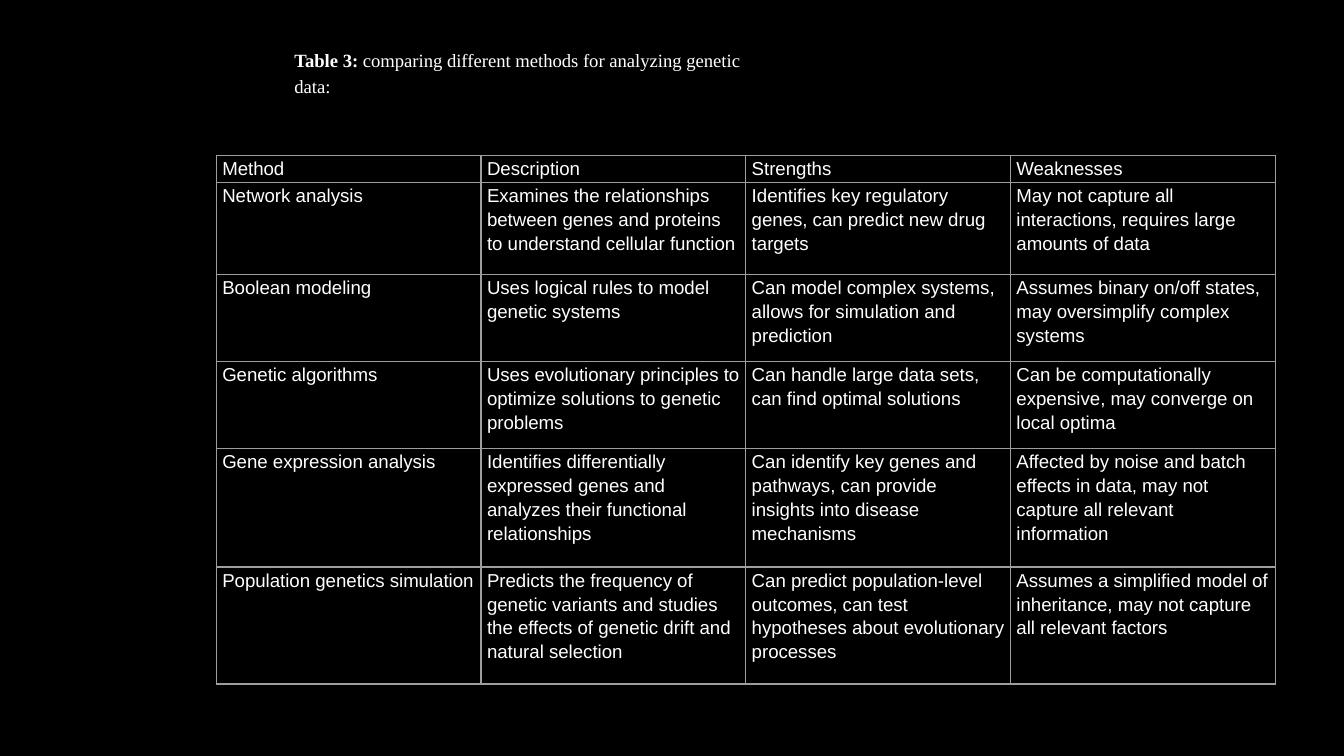
from dataclasses import dataclass

from lxml.etree import SubElement
from pptx import Presentation
from pptx.dml.color import RGBColor as RGB
from pptx.enum.text import MSO_ANCHOR as Anchor, MSO_AUTO_SIZE as Fit, PP_ALIGN as Align
from pptx.oxml.ns import qn
from pptx.util import Inches, Pt

CAPTION = [("Table 3:", True),
           (" comparing different methods for analyzing genetic data:", False)]
ROWS = [
    ("Method", "Description", "Strengths", "Weaknesses"),
    ("Network analysis",
     "Examines the relationships between genes and proteins to understand cellular function",
     "Identifies key regulatory genes, can predict new drug targets",
     "May not capture all interactions, requires large amounts of data"),
    ("Boolean modeling",
     "Uses logical rules to model genetic systems",
     "Can model complex systems, allows for simulation and prediction",
     "Assumes binary on/off states, may oversimplify complex systems"),
    ("Genetic algorithms",
     "Uses evolutionary principles to optimize solutions to genetic problems",
     "Can handle large data sets, can find optimal solutions",
     "Can be computationally expensive, may converge on local optima"),
    ("Gene expression analysis",
     "Identifies differentially expressed genes and analyzes their functional relationships",
     "Can identify key genes and pathways, can provide insights into disease mechanisms",
     "Affected by noise and batch effects in data, may not capture all relevant information"),
    ("Population genetics simulation",
     "Predicts the frequency of genetic variants and studies the effects of genetic drift "
     "and natural selection",
     "Can predict population-level outcomes, can test hypotheses about evolutionary processes",
     "Assumes a simplified model of inheritance, may not capture all relevant factors"),
]
HEIGHTS = [0.2, 0.68, 0.65, 0.65, 0.88, 0.87]


@dataclass(frozen=True)
class Theme:
    back: str = "000000"
    ink: str = "FFFFFF"
    rule: str = "9E9E9E"
    rule_width: float = 0.75
    size: int = 10
    head: str = "Times New Roman"
    body: str = "Arial"


THEME = Theme()
WIDE = 10
HIGH = WIDE * 9 / 16
BOX = dict(left=2.09, top=0.29, width=3.78, height=0.48)
GRID = dict(left=1.61, top=1.16, width=7.88, height=sum(HEIGHTS))
INSET = dict(margin_left=Pt(3.2), margin_right=Pt(3.2), margin_top=0, margin_bottom=0)
PARA = dict(line_spacing=1.15, space_after=Pt(10), alignment=Align.LEFT)


def assign(item, values):
    for name, value in values.items():
        setattr(item, name, value)


def inches(values):
    return {name: Inches(value) for name, value in values.items()}


def write(frame, runs, face):
    para = frame.paragraphs[0]
    assign(para, PARA)
    for text, bold in runs:
        run = para.add_run()
        run.text = text
        assign(run.font, dict(name=face, size=Pt(THEME.size), bold=bold))
        run.font.color.rgb = RGB.from_string(THEME.ink)


def outline(cell):
    """Rule all four sides of a table cell."""
    props = cell._tc.get_or_add_tcPr()
    for side in ("lnL", "lnR", "lnT", "lnB"):
        line = SubElement(props, qn(f"a:{side}"), w=str(Pt(THEME.rule_width)))
        fill = SubElement(line, qn("a:solidFill"))
        SubElement(fill, qn("a:srgbClr"), val=THEME.rule)


def add_grid(slide):
    table = slide.shapes.add_table(len(ROWS), len(ROWS[0]), **inches(GRID)).table
    assign(table, dict(first_row=False, horz_banding=False))
    for col in table.columns:
        col.width = Inches(GRID["width"] / len(ROWS[0]))
    for row, high, texts in zip(table.rows, HEIGHTS, ROWS):
        row.height = Inches(high)
        for cell, text in zip(row.cells, texts):
            assign(cell, INSET)
            write(cell.text_frame, [(text, False)], THEME.body)
            outline(cell)
            cell.fill.background()


def add_caption(slide):
    title = slide.shapes.title
    assign(title, inches(BOX))
    assign(title.text_frame, dict(word_wrap=True, vertical_anchor=Anchor.TOP,
                                  auto_size=Fit.SHAPE_TO_FIT_TEXT))
    write(title.text_frame, CAPTION, THEME.head)


def main():
    deck = Presentation()
    assign(deck, inches(dict(slide_width=WIDE, slide_height=HIGH)))
    slide = deck.slides.add_slide(deck.slide_layouts[5])
    fill = slide.background.fill
    fill.solid()
    fill.fore_color.rgb = RGB.from_string(THEME.back)
    add_grid(slide)
    add_caption(slide)
    deck.save("out.pptx")


if __name__ == "__main__":
    main()
